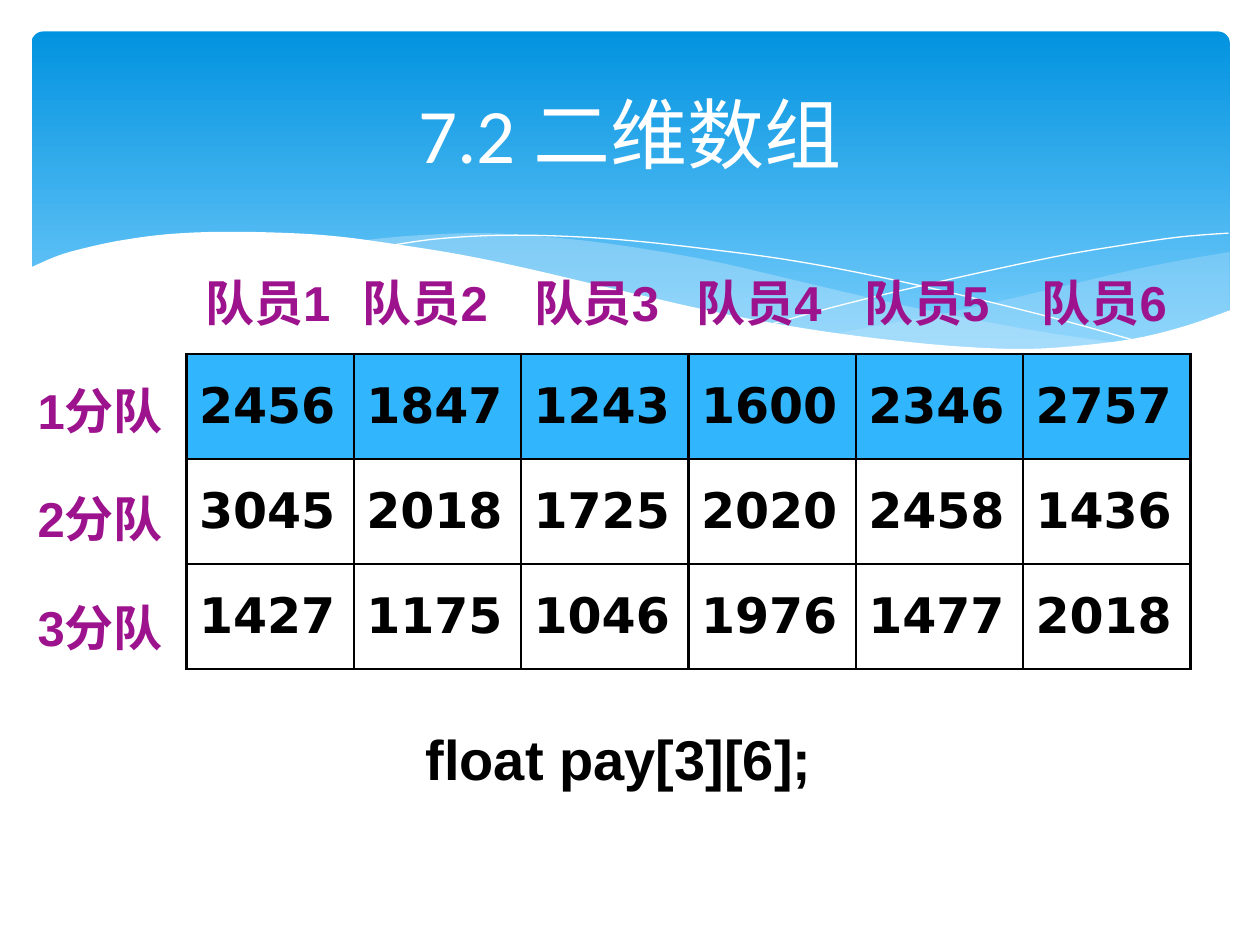
from lxml.etree import SubElement
from pptx import Presentation
from pptx.dml.color import RGBColor
from pptx.enum.shapes import MSO_SHAPE
from pptx.enum.text import MSO_ANCHOR, MSO_AUTO_SIZE, PP_ALIGN
from pptx.oxml import parse_xml
from pptx.oxml.ns import nsdecls, qn
from pptx.util import Inches, Pt

BLACK = RGBColor(0x00, 0x00, 0x00)
WHITE = RGBColor(0xFF, 0xFF, 0xFF)
DEEP_BLUE = RGBColor(0x02, 0x93, 0xE0)
SKY_BLUE = RGBColor(0x83, 0xD3, 0xFE)
PALE_BLUE = RGBColor(0xC6, 0xE7, 0xFC)
ROW_BLUE = RGBColor(0x31, 0xB6, 0xFD)
PURPLE = RGBColor(0x9D, 0x13, 0x8D)

RIGHT_SWELL_TOP = [(9.76, 2), (9.35, 2.07), (8.91, 2.16), (8.32, 2.3), (7.53, 2.48), (6.61, 2.65)]
RIGHT_SWELL_BOTTOM = [(6.61, 2.65), (7.05, 2.71), (7.57, 2.76), (8.14, 2.78), (8.63, 2.75),
                      (9.05, 2.69), (9.42, 2.59), (9.76, 2.47)]
LONG_SWELL_TOP = [(8.93, 2.73), (8.37, 2.65), (7.75, 2.54), (7.06, 2.4), (6.29, 2.22),
                  (5.69, 2.08), (5.14, 1.98), (4.64, 1.91), (4.2, 1.87), (3.8, 1.85),
                  (3.28, 1.87), (2.86, 1.91)]
LONG_SWELL_BOTTOM = [(2.86, 1.91), (3.42, 1.99), (4.04, 2.11), (4.91, 2.32), (5.66, 2.48),
                     (6.34, 2.61), (6.95, 2.7), (7.48, 2.76), (8.07, 2.79), (8.57, 2.77), (8.93, 2.73)]
FALLING_LINE = [(3.09, 1.95), (3.43, 1.9), (3.87, 1.87), (4.33, 1.87), (4.89, 1.9), (5.56, 1.97),
                (6.36, 2.08), (7.27, 2.26), (8.31, 2.51), (9.07, 2.72)]
RISING_LINE = [(6.13, 2.57), (6.72, 2.41), (7.48, 2.23), (8.36, 2.04), (8.95, 1.94),
               (9.37, 1.88), (9.75, 1.85)]
WHITE_WAVE = [(9.77, 2.46), (9.4, 2.59), (8.99, 2.69), (8.5, 2.75), (8.09, 2.77), (7.61, 2.75),
              (7.08, 2.7), (6.47, 2.62), (5.79, 2.5), (5.03, 2.33), (4.18, 2.13), (3.65, 2.02),
              (3.15, 1.94), (2.71, 1.88), (2.3, 1.85), (1.76, 1.84), (1.32, 1.86), (0.95, 1.91),
              (0.67, 1.97), (0.46, 2.03), (0.23, 2.13)]
WHITE_BASE = [(0.23, 3.29), (9.77, 3.29)]

PAY = [
    [2456, 1847, 1243, 1600, 2346, 2757],
    [3045, 2018, 1725, 2020, 2458, 1436],
    [1427, 1175, 1046, 1976, 1477, 2018],
]
MEMBER_LEFTS = [1.53, 2.78, 4.14, 5.43, 6.76, 8.17]


def smooth(anchors, steps=6):
    padded = [anchors[0], *anchors, anchors[-1]]
    points = [anchors[0]]
    for a, b, c, d in zip(padded, padded[1:], padded[2:], padded[3:]):
        for step in range(1, steps + 1):
            t = step / steps
            points.append(tuple(
                (2 * q + (r - p) * t + (2 * p - 5 * q + 4 * r - s) * t ** 2
                 + (3 * q - p - 3 * r + s) * t ** 3) / 2
                for p, q, r, s in zip(a, b, c, d)))
    return points


def add_outline(slide, points, closed):
    points = [(Inches(x), Inches(y)) for x, y in points]
    builder = slide.shapes.build_freeform(*points[0])
    builder.add_line_segments(points[1:], close=closed)
    shape = builder.convert_to_shape()
    shape.shadow.inherit = False
    return shape


def add_swell(slide, points, color, opacity=100):
    shape = add_outline(slide, points, True)
    shape.fill.solid()
    shape.fill.fore_color.rgb = color
    shape.line.fill.background()
    if opacity < 100:
        color_element = shape.fill._xPr.find(qn("a:solidFill"))[0]
        SubElement(color_element, qn("a:alpha")).set("val", str(opacity * 1000))


def add_hairline(slide, points):
    shape = add_outline(slide, points, False)
    shape.fill.background()
    shape.line.color.rgb = WHITE
    shape.line.width = Pt(0)


def add_banner(slide, left, top, width, height):
    banner = slide.shapes.add_shape(MSO_SHAPE.ROUNDED_RECTANGLE, left, top, width, height)
    banner.adjustments[0] = 0.034
    banner.shadow.inherit = False
    banner.line.fill.background()
    banner.fill.gradient()
    banner.fill.gradient_angle = 270
    for stop, color in zip(banner.fill.gradient_stops, (DEEP_BLUE, SKY_BLUE)):
        stop.color.rgb = color
    add_swell(slide, smooth(RIGHT_SWELL_TOP) + smooth(RIGHT_SWELL_BOTTOM), PALE_BLUE, 29)
    add_swell(slide, smooth(LONG_SWELL_TOP) + smooth(LONG_SWELL_BOTTOM), PALE_BLUE, 40)
    add_hairline(slide, smooth(FALLING_LINE))
    add_hairline(slide, smooth(RISING_LINE))
    add_swell(slide, smooth(WHITE_WAVE) + WHITE_BASE, WHITE)


def add_run(paragraph, text, size, font, color, bold=True):
    run = paragraph.add_run()
    run.text = text
    run.font.size = Pt(size)
    run.font.name = font
    run.font.bold = bold
    run.font.color.rgb = color


def place_title(slide, left, top, width, height):
    title = slide.shapes.title
    title.left, title.top, title.width, title.height = left, top, width, height
    title.text_frame.vertical_anchor = MSO_ANCHOR.MIDDLE
    paragraph = title.text_frame.paragraphs[0]
    paragraph.alignment = PP_ALIGN.CENTER
    add_run(paragraph, "7.2 二维数组", 44, "Calibri", WHITE, bold=False)
    slide.shapes._spTree.append(title._element)


def add_label(slide, text, left, top, width, height, size=28, color=PURPLE):
    box = slide.shapes.add_textbox(left, top, width, height)
    box.text_frame.word_wrap = True
    box.text_frame.margin_right = 0
    box.text_frame.auto_size = MSO_AUTO_SIZE.SHAPE_TO_FIT_TEXT
    add_run(box.text_frame.paragraphs[0], text, size, "Arial", color)


def add_borders(cell):
    properties = cell._tc.get_or_add_tcPr()
    for side in ("lnL", "lnR", "lnT", "lnB"):
        properties.append(parse_xml(
            f'<a:{side} {nsdecls("a")} w="{Pt(1.47)}"><a:solidFill>'
            f'<a:srgbClr val="{BLACK}"/></a:solidFill></a:{side}>'))


def add_pay_table(slide, left, top, width, height):
    frame = slide.shapes.add_table(len(PAY), len(PAY[0]), left, top, width, height)
    for row_index, values in enumerate(PAY):
        for column_index, value in enumerate(values):
            cell = frame.table.cell(row_index, column_index)
            add_borders(cell)
            cell.fill.solid()
            cell.fill.fore_color.rgb = WHITE if row_index else ROW_BLUE
            cell.vertical_anchor = MSO_ANCHOR.MIDDLE
            add_run(cell.text_frame.paragraphs[0], str(value), 28, "DejaVu Sans", BLACK)


def add_table_labels(slide, left, top, width, height):
    for index in range(len(PAY)):
        add_label(slide, f"{index + 1}分队", left, top + Inches(0.86) * (index + 1), width, height)
    for number, member_left in enumerate(MEMBER_LEFTS, 1):
        add_label(slide, f"队员{number}", Inches(member_left), top, width, height)


def main():
    presentation = Presentation()
    presentation.slide_width = Inches(10)
    presentation.slide_height = Inches(7.5)
    slide = presentation.slides.add_slide(presentation.slide_layouts[5])
    add_banner(slide, Inches(0.25), Inches(0.25), Inches(9.51), Inches(2.7))
    add_pay_table(slide, Inches(1.48), Inches(2.81), Inches(7.97), Inches(2.5))
    add_table_labels(slide, Inches(0.2), Inches(2.11), Inches(1.28), Inches(0.57))
    add_label(slide, "float pay[3][6];", Inches(3.28), Inches(5.7), Inches(3.75), Inches(0.64),
              size=32, color=BLACK)
    place_title(slide, Inches(0.5), Inches(0.37), Inches(9), Inches(1.37))
    presentation.save("out.pptx")


if __name__ == "__main__":
    main()
